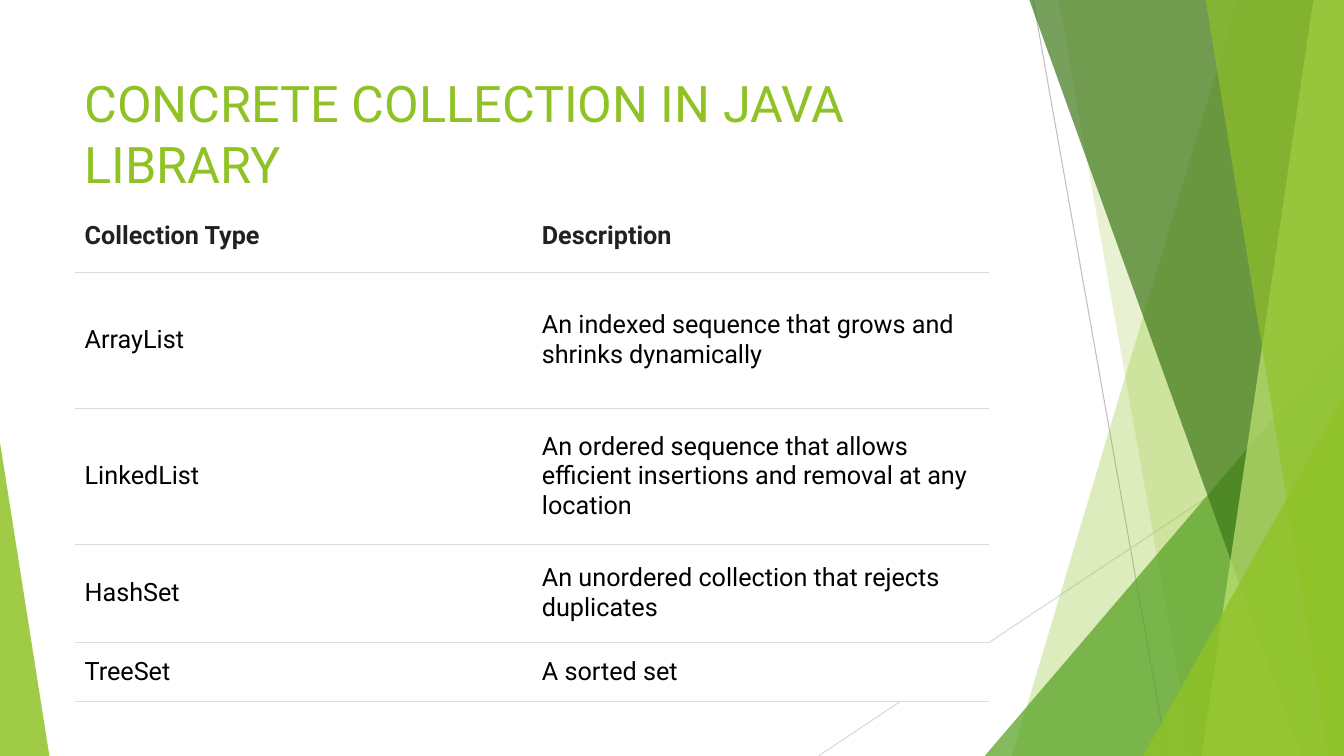
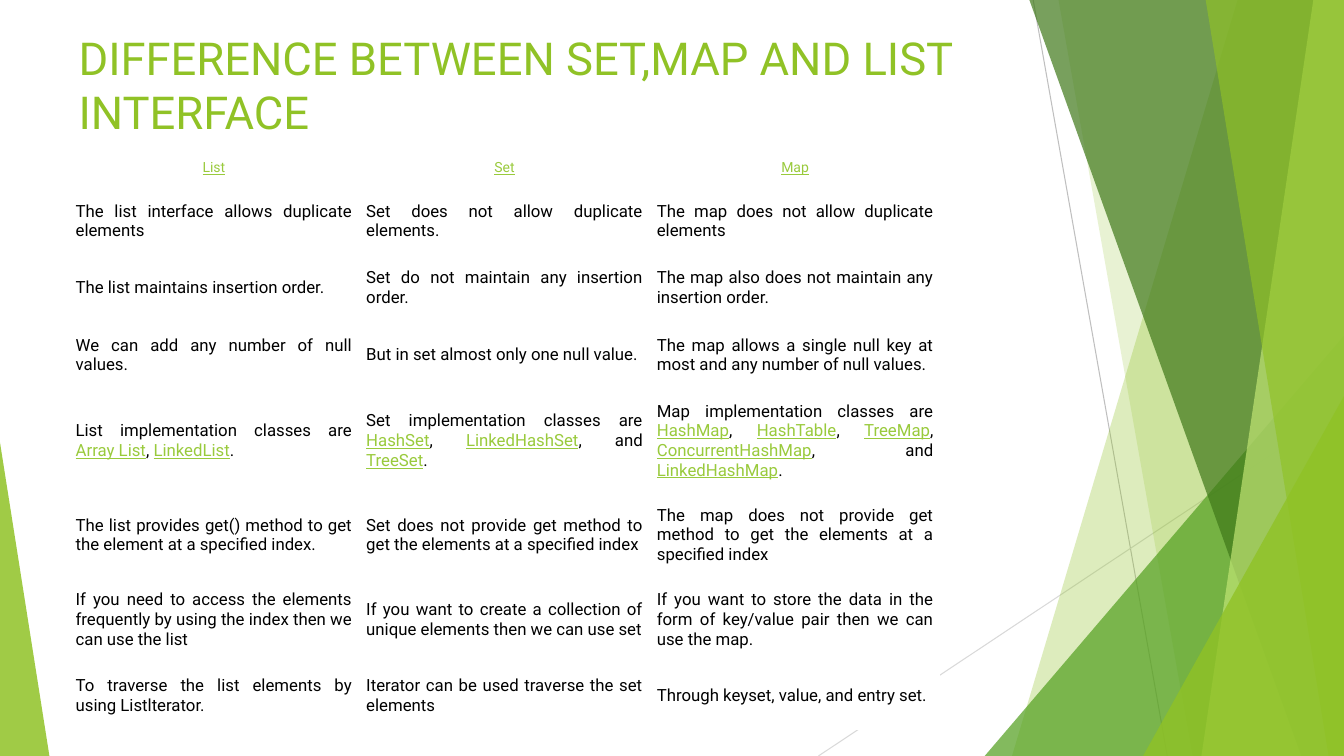
from lxml.etree import SubElement
from pptx import Presentation
from pptx.dml.color import RGBColor
from pptx.enum.shapes import MSO_CONNECTOR as Connector, MSO_SHAPE as Preset
from pptx.enum.text import MSO_ANCHOR as Anchor, PP_ALIGN as Align
from pptx.oxml.ns import qn
from pptx.util import Pt

WIDTH, HEIGHT = 960, 540
FONT = "Roboto"
GREEN, LINK, BLACK, WHITE = "90C226", "99CA3C", "000000", "FFFFFF"
HEADING, RULE = "202124", "DADCE0"
NO_GRID_STYLE = "{2D5ABB26-0587-4C30-8999-92F81FD0307C}"

# Background lines: start x, start y, end x, end y, colour
THIN_LINES = [
    (738, 0, 833.8, HEIGHT, "BFBFBF"),
    (WIDTH, 290.2, 584.6, HEIGHT, "D9D9D9"),
]
# Background facets, back to front. Bands: top x, bottom x, colour, opacity;
# triangles: left, top, right, apex position, colour, opacity
FACETS = [
    ("band", 884.2, 722.9, GREEN, 30),
    ("band", 756, 851.8, GREEN, 20),
    ("triangle", 703.4, 239.8, WIDTH, 1, "54A021", 72),
    ("band", 735.1, 929.5, "3F7819", 70),
    ("band", 938.2, 858.2, "C0E474", 70),
    ("band", 861.1, 949, GREEN, 65),
    ("triangle", 816.5, 283, WIDTH, 1, GREEN, 80),
    ("triangle", 0, 316.1, 35.3, 0, GREEN, 85),
]


def color(value):
    return RGBColor.from_string(value)


class Deck:
    def __init__(self):
        self.deck = Presentation()
        self.deck.slide_width, self.deck.slide_height = Pt(WIDTH), Pt(HEIGHT)
        self.page = None

    def new_page(self):
        self.page = self.deck.slides.add_slide(self.deck.slide_layouts[6])
        for thin_line in THIN_LINES:
            self.line(*thin_line)
        for kind, *values in FACETS:
            getattr(self, kind)(*values)

    def line(self, x1, y1, x2, y2, stroke):
        line = self.page.shapes.add_connector(
            Connector.STRAIGHT, Pt(x1), Pt(y1), Pt(x2), Pt(y2))
        line.line.color.rgb = color(stroke)
        line.line.width = Pt(0.75)
        SubElement(line.element.spPr, qn("a:effectLst"))

    def paint(self, shape, fill, opacity):
        shape.shadow.inherit = False
        shape.line.fill.background()
        shape.fill.solid()
        shape.fill.fore_color.rgb = color(fill)
        tint = shape.element.spPr.find(qn("a:solidFill"))[0]
        SubElement(tint, qn("a:alpha"), val=str(opacity * 1000))

    def band(self, top_x, bottom_x, fill, opacity):
        outline = self.page.shapes.build_freeform(Pt(top_x), Pt(-0.6))
        corners = [(WIDTH, -0.6), (WIDTH, HEIGHT), (bottom_x, HEIGHT)]
        outline.add_line_segments([(Pt(x), Pt(y)) for x, y in corners])
        self.paint(outline.convert_to_shape(), fill, opacity)

    def triangle(self, left, top, right, apex, fill, opacity):
        shape = self.page.shapes.add_shape(
            Preset.ISOSCELES_TRIANGLE,
            Pt(left), Pt(top), Pt(right - left), Pt(HEIGHT - top))
        shape.adjustments[0] = apex
        self.paint(shape, fill, opacity)

    def span(self, para, text, size, ink, bold=False, underline=False):
        span = para.add_run()
        span.text = text
        font = span.font
        font.name, font.size = FONT, Pt(size)
        font.bold, font.underline = bold, underline
        font.color.rgb = color(ink)

    def title(self, text, left, top, width, height, size):
        box = self.page.shapes.add_textbox(
            Pt(left), Pt(top), Pt(width), Pt(height))
        box.text_frame.word_wrap = True
        self.span(box.text_frame.paragraphs[0], text, size, GREEN)

    def table(self, left, top, column_width, heights, rows, style_cell):
        columns = len(rows[0])
        frame = self.page.shapes.add_table(
            len(rows), columns, Pt(left), Pt(top),
            Pt(column_width * columns), Pt(sum(heights)))
        for style in frame.element.iter(qn("a:tableStyleId")):
            style.text = NO_GRID_STYLE
        table = frame.table
        table.first_row = table.horz_banding = False
        for column in table.columns:
            column.width = Pt(column_width)
        for r, (height, texts) in enumerate(zip(heights, rows)):
            table.rows[r].height = Pt(height)
            for c, text in enumerate(texts):
                cell = table.cell(r, c)
                style_cell(cell, text, r == 0)
                cell.fill.solid()
                cell.fill.fore_color.rgb = color(WHITE)

    def insets(self, cell, side, ends):
        cell.margin_left = cell.margin_right = Pt(side)
        cell.margin_top = cell.margin_bottom = Pt(ends)

    def ruled_cell(self, cell, text, is_header):
        self.insets(cell, 7.2, 5.76)
        cell.vertical_anchor = Anchor.TOP if is_header else Anchor.MIDDLE
        self.span(cell.text_frame.paragraphs[0], text, 18,
                  HEADING if is_header else BLACK, bold=is_header)
        # Bottom border
        border = SubElement(cell._tc.get_or_add_tcPr(), qn("a:lnB"),
                            w=str(Pt(0.75)))
        fill = SubElement(border, qn("a:solidFill"))
        SubElement(fill, qn("a:srgbClr"), val=RULE)

    def plain_cell(self, cell, text, is_header):
        self.insets(cell, 5.04, 5.04 if is_header else 7.2)
        cell.vertical_anchor = Anchor.MIDDLE
        para = cell.text_frame.paragraphs[0]
        para.alignment = Align.CENTER if is_header else Align.JUSTIFY
        # Text between underscores is shown as a link
        for i, part in enumerate(text.split("_")):
            linked = i % 2 == 1
            if part:
                self.span(para, part, 10 if is_header else 12,
                          LINK if linked else BLACK, underline=linked)


COLLECTIONS = [
    ("Collection Type", "Description"),
    ("ArrayList", "An indexed sequence that grows and shrinks dynamically"),
    ("LinkedList", "An ordered sequence that allows efficient insertions "
                   "and removal at any location"),
    ("HashSet", "An unordered collection that rejects duplicates"),
    ("TreeSet", "A sorted set"),
]

INTERFACES = [
    ("_List_", "_Set_", "_Map_"),
    ("The list interface allows duplicate elements",
     "Set does not allow duplicate elements.",
     "The map does not allow duplicate elements"),
    ("The list maintains insertion order.",
     "Set do not maintain any insertion order.",
     "The map also does not maintain any insertion order."),
    ("We can add any number of null values.",
     "But in set almost only one null value.",
     "The map allows a single null key at most and any number of null values."),
    ("List implementation classes are _Array List_, _LinkedList_.",
     "Set implementation classes are _HashSet_, _LinkedHashSet_, "
     "and _TreeSet_.",
     "Map implementation classes are _HashMap_, _HashTable_, _TreeMap_, "
     "_ConcurrentHashMap_, and _LinkedHashMap_."),
    ("The list provides get() method to get the element at a specified index.",
     "Set does not provide get method to get the elements at a specified index",
     "The map does not provide get method to get the elements at a "
     "specified index"),
    ("If you need to access the elements frequently by using the index "
     "then we can use the list",
     "If you want to create a collection of unique elements then we can use set",
     "If you want to store the data in the form of key/value pair "
     "then we can use the map."),
    ("To traverse the list elements by using Listlterator.",
     "Iterator can be used traverse the set elements",
     "Through keyset, value, and entry set."),
]


def main():
    deck = Deck()

    # Concrete collections
    deck.new_page()
    deck.title("CONCRETE COLLECTION IN JAVA LIBRARY",
               53.3, 48.2, 676.8, 103.7, 36)
    deck.table(53.3, 151.9, 326.6, [42.5, 97.2, 97.2, 69.8, 42.5],
               COLLECTIONS, deck.ruled_cell)

    # Interface comparison
    deck.new_page()
    deck.title("DIFFERENCE BETWEEN SET,MAP AND LIST INTERFACE",
               49, 18, 677.5, 87.1, 32.4)
    deck.table(49, 105.1, 207.6,
               [29.5, 46.8, 48.2, 48.2, 74.2, 60.5, 60.5, 48.2],
               INTERFACES, deck.plain_cell)

    deck.deck.save("out.pptx")


if __name__ == "__main__":
    main()
